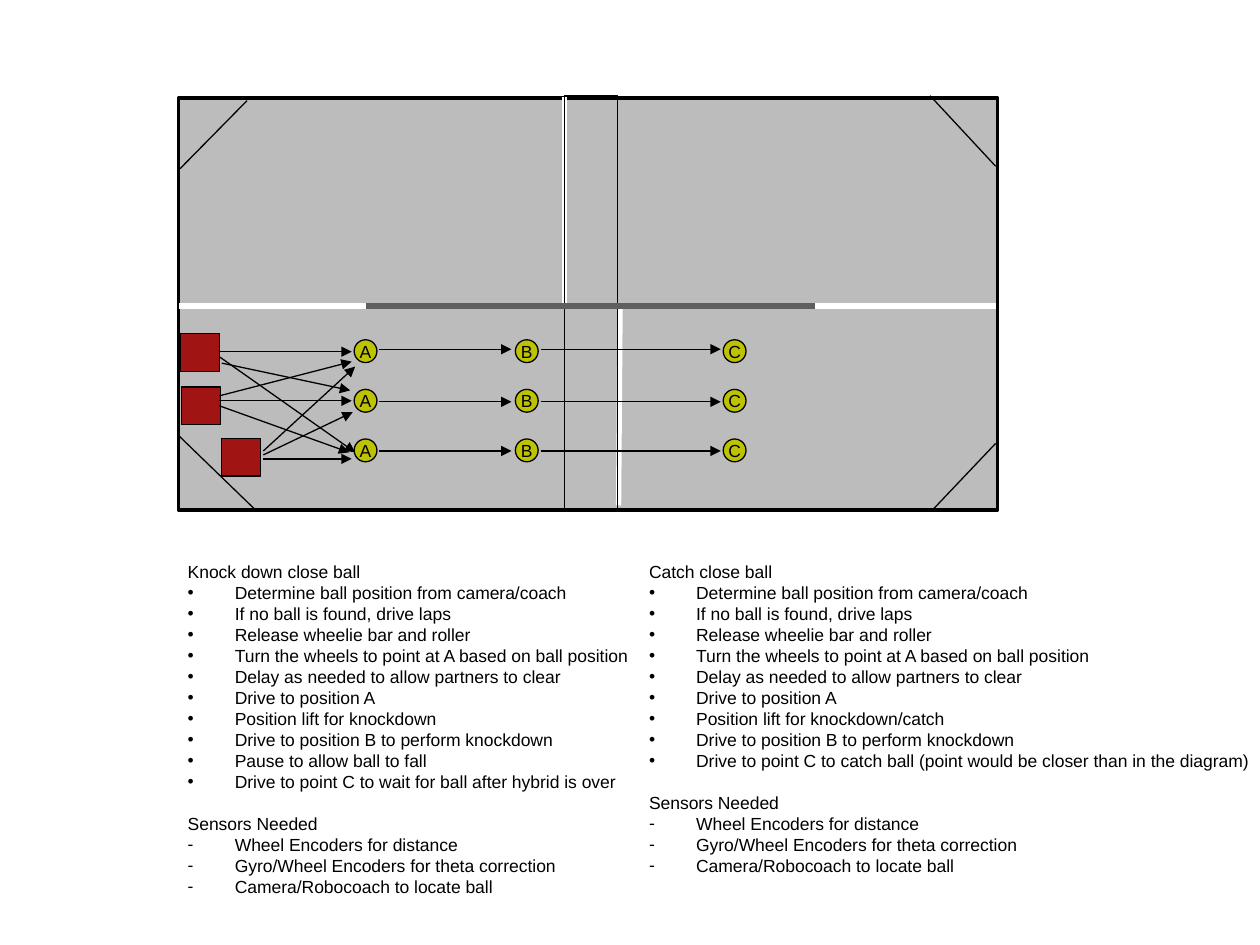
from dataclasses import dataclass

from lxml.etree import SubElement
from pptx import Presentation
from pptx.dml.color import RGBColor
from pptx.enum.shapes import MSO_CONNECTOR, MSO_SHAPE
from pptx.enum.text import MSO_ANCHOR, MSO_AUTO_SIZE, PP_ALIGN
from pptx.oxml.ns import qn
from pptx.util import Cm, Pt

COLORS = {
    "black": "000000",
    "white": "FFFFFF",
    "floor": "BCBCBC",
    "overpass": "5F5F5F",
    "robot": "A01414",
    "waypoint": "BDC202",
}
FONT = "Arial"
TEXT_SIZE = 10
LINE_HEIGHT = 12
BULLET_INDENT = 0.95


@dataclass(frozen=True)
class Segment:
    """A straight line between two points, in centimetres."""
    x1: float
    y1: float
    x2: float
    y2: float
    color: str = "black"
    width: float = 0.75
    arrow: bool = False


@dataclass(frozen=True)
class Box:
    left: float
    top: float
    width: float
    height: float


@dataclass(frozen=True)
class Strategy:
    heading: str
    steps: list[str]
    area: Box


FIELD = Box(3.6, 1.98, 16.51, 8.3)
CENTER_ZONE = Box(11.38, 1.93, 1.07, 8.33)
FIELD_LINES = [
    Segment(3.63, 3.4, 4.98, 2.03),
    Segment(3.58, 8.76, 5.13, 10.26),
    Segment(20.07, 8.94, 18.77, 10.31),
    Segment(20.07, 3.35, 18.75, 1.93),
    Segment(3.61, 6.17, 20.07, 6.17, "white", 3),
    Segment(11.38, 1.96, 11.38, 6.1, "white", 3),
    Segment(12.47, 10.19, 12.5, 6.17, "white", 3),
]
OVERPASS = Segment(7.37, 6.17, 16.43, 6.17, "overpass", 3)

ROBOT_CORNERS = [(3.63, 6.73), (3.66, 7.8), (4.47, 8.84)]
ROBOT_WIDTH, ROBOT_HEIGHT = 0.79, 0.76

WAYPOINT_COLUMNS = {"A": 7.37, "B": 10.62, "C": 14.81}
WAYPOINT_ROWS = [7.08 + 1.0 * row for row in range(3)]
WAYPOINT_SIZE = 0.46

ROUTES_TO_A = [
    (4.42, 7.09, 7.09, 7.09),
    (4.42, 8.08, 7.09, 8.08),
    (5.31, 9.25, 7.09, 9.25),
    (4.42, 7.19, 7.16, 9.12),
    (4.47, 7.32, 7.06, 7.87),
    (4.42, 7.98, 7.09, 7.29),
    (4.42, 8.18, 7.04, 9.12),
    (5.31, 9.17, 7.11, 8.31),
    (5.31, 9.09, 7.16, 7.39),
]
LANES = [7.04, 8.1, 9.09]
LANE_SPANS = [(7.65, 10.31), (10.9, 14.53)]

OPENING_STEPS = [
    "Determine ball position from camera/coach",
    "If no ball is found, drive laps",
    "Release wheelie bar and roller",
    "Turn the wheels to point at A based on ball position",
    "Delay as needed to allow partners to clear",
    "Drive to position A",
]
KNOCKDOWN_STEP = "Drive to position B to perform knockdown"
SENSORS = [
    "Wheel Encoders for distance",
    "Gyro/Wheel Encoders for theta correction",
    "Camera/Robocoach to locate ball",
]
STRATEGIES = [
    Strategy("Knock down close ball", OPENING_STEPS + [
        "Position lift for knockdown",
        KNOCKDOWN_STEP,
        "Pause to allow ball to fall",
        "Drive to point C to wait for ball after hybrid is over",
    ], Box(3.53, 11.18, 9.42, 7.04)),
    Strategy("Catch close ball", OPENING_STEPS + [
        "Position lift for knockdown/catch",
        KNOCKDOWN_STEP,
        "Drive to point C to catch ball (point would be closer than in the diagram)",
    ], Box(12.83, 11.18, 12.6, 6.63)),
]


def rgb(name: str) -> RGBColor:
    return RGBColor.from_string(COLORS[name])


def draw_box(shapes, kind: MSO_SHAPE, box: Box, fill: str | None, width: float = 0.75):
    shape = shapes.add_shape(kind, Cm(box.left), Cm(box.top), Cm(box.width), Cm(box.height))
    shape.shadow.inherit = False
    if fill:
        shape.fill.solid()
        shape.fill.fore_color.rgb = rgb(fill)
    else:
        shape.fill.background()
    shape.line.color.rgb = rgb("black")
    shape.line.width = Pt(width)
    return shape


def draw_segment(shapes, segment: Segment) -> None:
    connector = shapes.add_connector(
        MSO_CONNECTOR.STRAIGHT,
        Cm(segment.x1), Cm(segment.y1), Cm(segment.x2), Cm(segment.y2))
    connector.line.color.rgb = rgb(segment.color)
    connector.line.width = Pt(segment.width)
    properties = connector.element.spPr
    if segment.arrow:
        SubElement(properties.find(qn("a:ln")), qn("a:tailEnd"), type="triangle")
    SubElement(properties, qn("a:effectLst"))


def format_runs(paragraph) -> None:
    for run in paragraph.runs:
        run.font.name = FONT
        run.font.size = Pt(TEXT_SIZE)
        run.font.color.rgb = rgb("black")


def draw_waypoint(shapes, letter: str, x: float, y: float) -> None:
    radius = WAYPOINT_SIZE / 2
    waypoint = draw_box(shapes, MSO_SHAPE.OVAL,
                        Box(x - radius, y - radius, WAYPOINT_SIZE, WAYPOINT_SIZE), "waypoint")
    frame = waypoint.text_frame
    frame.word_wrap = False
    frame.vertical_anchor = MSO_ANCHOR.MIDDLE
    frame.text = letter
    frame.paragraphs[0].alignment = PP_ALIGN.CENTER
    format_runs(frame.paragraphs[0])


def set_bullet(paragraph, mark: str | None) -> None:
    """Hang the paragraph on a bullet mark, or turn the bullet off."""
    properties = paragraph._p.get_or_add_pPr()
    properties.set("marL", str(Cm(BULLET_INDENT)))
    properties.set("indent", str(-Cm(BULLET_INDENT)))
    if mark:
        SubElement(properties, qn("a:buFont"), typeface=FONT)
        SubElement(properties, qn("a:buChar"), char=mark)
    else:
        SubElement(properties, qn("a:buNone"))


def fill_strategy(placeholder, strategy: Strategy) -> None:
    area = strategy.area
    placeholder.left, placeholder.top = Cm(area.left), Cm(area.top)
    placeholder.width, placeholder.height = Cm(area.width), Cm(area.height)
    entries = [(strategy.heading, None, 0)]
    entries += [(step, "•", 0) for step in strategy.steps]
    entries.append(("Sensors Needed", None, LINE_HEIGHT))
    entries += [(sensor, "-", 0) for sensor in SENSORS]

    frame = placeholder.text_frame
    frame.word_wrap = False
    frame.auto_size = MSO_AUTO_SIZE.SHAPE_TO_FIT_TEXT
    frame.text = "\n".join(text for text, _, _ in entries)
    for paragraph, (_, mark, gap) in zip(frame.paragraphs, entries):
        paragraph.line_spacing = Pt(LINE_HEIGHT)
        paragraph.space_before = Pt(gap)
        set_bullet(paragraph, mark)
        format_runs(paragraph)


def draw_field(shapes) -> None:
    draw_box(shapes, MSO_SHAPE.RECTANGLE, FIELD, "floor", 2.25)
    for segment in FIELD_LINES:
        draw_segment(shapes, segment)
    draw_box(shapes, MSO_SHAPE.RECTANGLE, CENTER_ZONE, None)
    draw_segment(shapes, OVERPASS)


def main() -> None:
    deck = Presentation()
    deck.slide_width, deck.slide_height = Cm(25.4), Cm(19.05)
    slide = deck.slides.add_slide(deck.slide_layouts[3])
    title, *lists = slide.placeholders
    title.element.getparent().remove(title.element)
    for placeholder, strategy in zip(lists, STRATEGIES):
        fill_strategy(placeholder, strategy)

    draw_field(slide.shapes.add_group_shape().shapes)
    for left, top in ROBOT_CORNERS:
        draw_box(slide.shapes, MSO_SHAPE.RECTANGLE,
                 Box(left, top, ROBOT_WIDTH, ROBOT_HEIGHT), "robot")
    for letter, x in WAYPOINT_COLUMNS.items():
        for y in WAYPOINT_ROWS:
            draw_waypoint(slide.shapes, letter, x, y)
    lane_routes = [(start, y, end, y) for start, end in LANE_SPANS for y in LANES]
    for route in ROUTES_TO_A + lane_routes:
        draw_segment(slide.shapes, Segment(*route, arrow=True))
    deck.save("out.pptx")


if __name__ == "__main__":
    main()
